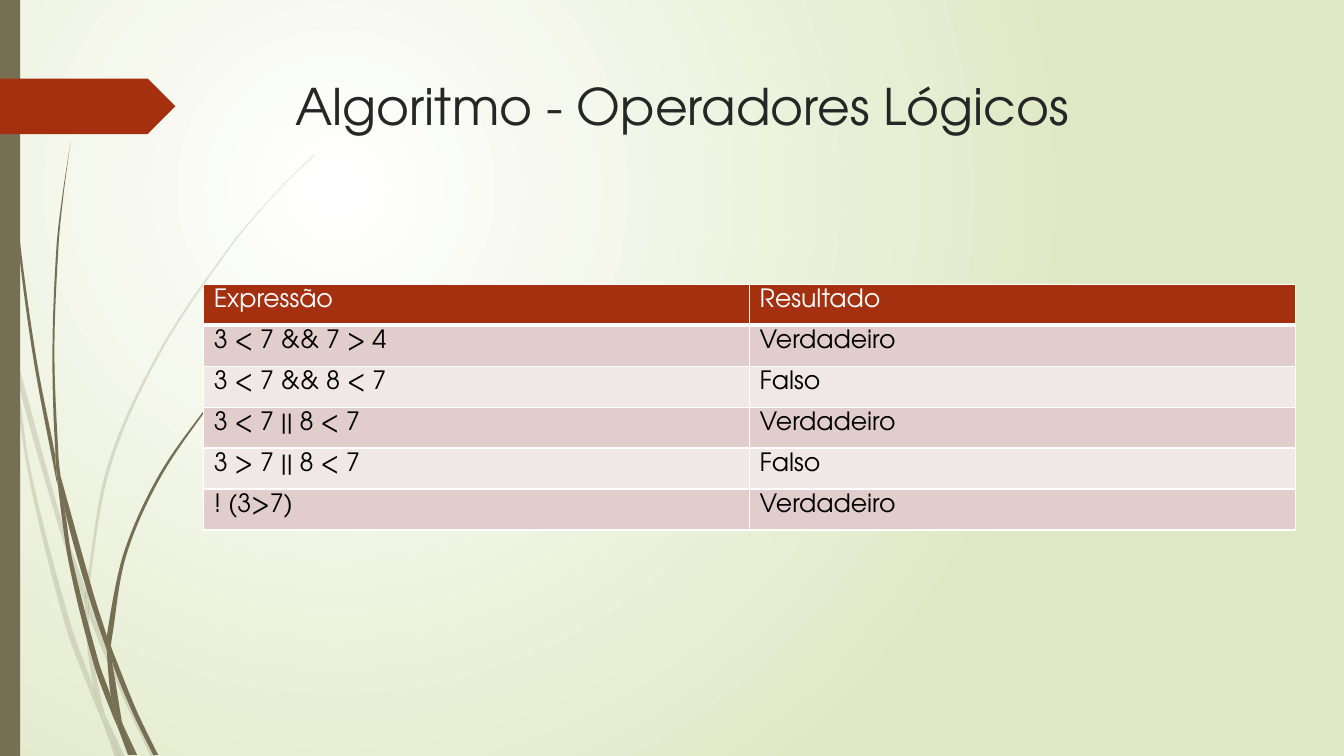
import math

import pptx
import pptx.dml.color
import pptx.enum.shapes
import pptx.enum.text
import pptx.oxml
import pptx.oxml.ns
import pptx.util

Inches = pptx.util.Inches
RGBColor = pptx.dml.color.RGBColor
Shape = pptx.enum.shapes.MSO_SHAPE
qn = pptx.oxml.ns.qn

FONT = "TeX Gyre Adventor"
WHITE = RGBColor(0xFF, 0xFF, 0xFF)
BLACK = RGBColor(0, 0, 0)
INK = RGBColor(0x26, 0x26, 0x26)
RUST = RGBColor(0xA5, 0x30, 0x10)
OLIVE = RGBColor(0x76, 0x6F, 0x54)
SAGE = RGBColor(0xDF, 0xE8, 0xC4)
ROSE = RGBColor(0xE1, 0xCD, 0xCC)
BLUSH = RGBColor(0xF0, 0xE8, 0xE7)

# Each blade of grass is a closed ring of (x, y) points, in inches.
PALE_BLADES = [
    [(0.11, 3.5), (0.09, 3.22), (0, 2.82), (0, 2.99), (0.1, 3.44)],
    [(0.58, 5.22), (0.84, 5.99), (0.85, 5.86), (0.62, 5.2), (0.14, 3.45),
     (0.17, 3.76)],
    [(0.92, 6.07), (0.88, 5.96), (0.88, 6.1), (1.23, 6.94), (1.5, 7.51),
     (1.55, 7.51), (1.27, 6.92)],
    [(1.19, 7.51), (1.24, 7.51), (1.05, 7.11)],
    [(0.93, 6.83), (0.7, 6.19), (0.31, 4.69), (0.17, 3.76), (0.11, 3.5),
     (0.28, 4.7), (0.65, 6.21), (0.92, 6.93), (1.01, 7.14), (0.99, 7.07)],
    [(0.84, 5.99), (0.87, 6.46), (0.93, 6.83), (0.96, 6.92), (1.05, 7.11),
     (1.03, 7.06), (0.91, 6.46), (0.88, 6.1), (0.88, 6.08)],
    [(0.88, 5.84), (1.1, 4.62), (1.6, 3.49), (2.29, 2.45), (2.68, 1.98),
     (2.9, 1.75), (3.12, 1.54), (3.12, 1.53), (2.89, 1.75), (2.68, 1.97),
     (2.28, 2.44), (1.58, 3.48), (1.07, 4.61), (0.85, 5.84), (0.85, 5.86),
     (0.88, 5.96)],
    [(1.01, 7.14), (1.14, 7.51), (1.19, 7.51)],
    [(0.88, 6.08), (0.88, 6.1), (0.88, 5.96), (0.85, 5.86), (0.84, 5.99)],
    [(0.96, 6.92), (0.93, 6.83), (0.99, 7.07), (1.01, 7.14), (1.19, 7.51),
     (1.05, 7.11)],
]
DARK_BLADES = [
    [(0.07, 1.1), (0.17, 2.33), (0.33, 3.55), (0.56, 4.77), (0.57, 4.81),
     (0.55, 4.57), (0.55, 4.53), (0.36, 3.55), (0.19, 2.32), (0.08, 1.09),
     (0.05, 0.48), (0.04, 0), (0.03, 0), (0.04, 0.48)],
    [(0.88, 5.92), (1.06, 6.45), (1.06, 6.33), (1.06, 6.31), (0.93, 5.9),
     (0.6, 4.72), (0.64, 5.05)],
    [(1.13, 6.49), (1.1, 6.41), (1.11, 6.56), (1.32, 7.08), (1.52, 7.49),
     (1.57, 7.49), (1.36, 7.06)],
    [(1.1, 6.91), (0.98, 6.57), (0.72, 5.56), (0.64, 5.05), (0.57, 4.77),
     (0.68, 5.57), (0.93, 6.59), (1.11, 7.08), (1.17, 7.22), (1.16, 7.17)],
    [(0.6, 4.72), (0.58, 4.53), (0.54, 3.49), (0.58, 2.45), (0.63, 1.93),
     (0.7, 1.41), (0.62, 1.93), (0.56, 2.45), (0.52, 3.49), (0.55, 4.49)],
    [(1.33, 7.49), (1.36, 7.49), (1.22, 7.19)],
    [(0.57, 4.77), (0.64, 5.05), (0.6, 4.72), (0.55, 4.49), (0.55, 4.53)],
    [(1.11, 6.33), (1.25, 5.52), (1.58, 4.76), (2.05, 4.06), (2.31, 3.74),
     (2.45, 3.59), (2.61, 3.44), (2.6, 3.44), (2.45, 3.58), (2.31, 3.73),
     (2.04, 4.05), (1.56, 4.74), (1.22, 5.51), (1.06, 6.31), (1.1, 6.41)],
    [(1.17, 7.22), (1.27, 7.49), (1.31, 7.49)],
    [(1.06, 6.45), (1.1, 6.91), (1.16, 7.06), (1.22, 7.19), (1.21, 7.16),
     (1.11, 6.56), (1.09, 6.51)],
    [(1.06, 6.45), (1.09, 6.51), (1.11, 6.56), (1.1, 6.41), (1.06, 6.31),
     (1.06, 6.33)],
    [(1.16, 7.06), (1.1, 6.91), (1.16, 7.17), (1.17, 7.22), (1.3, 7.49),
     (1.33, 7.49), (1.22, 7.19)],
]
ROWS = [
    ("Expressão", "Resultado"),
    ("3 < 7 && 7 > 4", "Verdadeiro"),
    ("3 < 7 && 8 < 7", "Falso"),
    ("3 < 7 || 8 < 7", "Verdadeiro"),
    ("3 > 7 || 8 < 7", "Falso"),
    ("! (3>7)", "Verdadeiro"),
]


def write(frame, text, size=18, color=BLACK):
    para = frame.paragraphs[0]
    para.alignment = pptx.enum.text.PP_ALIGN.LEFT
    run = para.add_run()
    run.text = text
    run.font.name = FONT
    run.font.size = pptx.util.Pt(size)
    run.font.color.rgb = color
    run.font.bold = False


def paint(shape, color, alpha=100):
    shape.shadow.inherit = False
    shape.line.fill.background()
    shape.fill.solid()
    shape.fill.fore_color.rgb = color
    if alpha < 100:
        tint = shape.element.spPr.find(".//" + qn("a:srgbClr"))
        tint.append(pptx.oxml.parse_xml(
            f'<a:alpha {pptx.oxml.ns.nsdecls("a")} val="{alpha * 1000}"/>'))


def slope(last, here, after):
    """Return the unit tangent at a ring point, or zero at a corner."""
    ax, ay = here[0] - last[0], here[1] - last[1]
    bx, by = after[0] - here[0], after[1] - here[1]
    if ax * bx + ay * by < 0.85 * math.hypot(ax, ay) * math.hypot(bx, by):
        return 0, 0
    span = math.hypot(ax + bx, ay + by)
    return (ax + bx) / span, (ay + by) / span


def add_blade(slide, left, top, ring, alpha=100):
    """Draw a ring as Bezier curves that keep its sharp corners."""
    count = len(ring)
    tilts = [slope(ring[i - 1], ring[i], ring[(i + 1) % count])
             for i in range(count)]
    points = [ring[0]]
    for i in range(count):
        j = (i + 1) % count
        (px, py), (qx, qy) = ring[i], ring[j]
        reach = math.dist(ring[i], ring[j]) / 3
        points += [(px + reach * tilts[i][0], py + reach * tilts[i][1]),
                   (qx - reach * tilts[j][0], qy - reach * tilts[j][1]),
                   (qx, qy)]
    points = [(Inches(left + x), Inches(top + y)) for x, y in points]
    build = slide.shapes.build_freeform(*points[0], scale=1.0)
    build.add_line_segments(points[1:], close=True)
    blade = build.convert_to_shape()
    lines = list(blade.element.iter(qn("a:lnTo")))
    for k in range(0, len(lines), 3):
        curve = pptx.oxml.parse_xml(
            f'<a:cubicBezTo {pptx.oxml.ns.nsdecls("a")}/>')
        lines[k].addprevious(curve)
        for line in lines[k:k + 3]:
            curve.append(line[0])
            line.getparent().remove(line)
    paint(blade, OLIVE, alpha)


def add_backdrop(slide):
    fill = slide.background.fill
    fill.gradient()
    for stop, color, place in zip(fill.gradient_stops, (WHITE, SAGE), (0, 1)):
        stop.color.rgb = color
        stop.position = place
    grad = slide.element.find(".//" + qn("a:gradFill"))
    grad.remove(grad.find(qn("a:lin")))
    grad.append(pptx.oxml.parse_xml(
        f'<a:path {pptx.oxml.ns.nsdecls("a")} path="circle"><a:fillToRect '
        'l="50000" t="50000" r="100000" b="100000"/></a:path>'))


def add_side(slide, left, top, height):
    for blades, alpha in ((PALE_BLADES, 20), (DARK_BLADES, 100)):
        for ring in blades:
            add_blade(slide, left, top, ring, alpha)
    for kind, drop, width, tall, color in (
            (Shape.RECTANGLE, 0, 0.2, height, OLIVE),
            (Shape.PENTAGON, 0.78, 1.74, 0.55, RUST)):
        paint(slide.shapes.add_shape(
            kind, Inches(left), Inches(top + drop),
            Inches(width), Inches(tall)), color)


def add_title(slide, left, top, width, height):
    title = slide.shapes.title
    title.left, title.top = Inches(left), Inches(top)
    title.width, title.height = Inches(width), Inches(height)
    title.text_frame.vertical_anchor = pptx.enum.text.MSO_ANCHOR.TOP
    write(title.text_frame, "Algoritmo - Operadores Lógicos",
          size=36, color=INK)


def add_edges(cell, base):
    """Draw white cell borders, the bottom one base points wide."""
    props = cell._tc.get_or_add_tcPr()
    for place, side in enumerate("LRTB"):
        width = pptx.util.Pt(base if side == "B" else 1)
        props.insert(place, pptx.oxml.parse_xml(
            f'<a:ln{side} {pptx.oxml.ns.nsdecls("a")} w="{width}"><a:solidFill>'
            f'<a:srgbClr val="{WHITE}"/></a:solidFill></a:ln{side}>'))


def add_grid(slide, left, top, width, height):
    table = slide.shapes.add_table(
        len(ROWS), 2, Inches(left), Inches(top),
        Inches(width), Inches(height)).table
    for r, texts in enumerate(ROWS):
        table.rows[r].height = Inches(height / len(ROWS))
        for c, text in enumerate(texts):
            cell = table.cell(r, c)
            cell.fill.solid()
            cell.fill.fore_color.rgb = (
                RUST if r == 0 else ROSE if r % 2 else BLUSH)
            add_edges(cell, base=1 if r else 3)
            write(cell.text_frame, text, color=BLACK if r else WHITE)


def main():
    deck = pptx.Presentation()
    deck.slide_width, deck.slide_height = Inches(13.33), Inches(7.5)
    slide = deck.slides.add_slide(deck.slide_layouts[5])
    add_backdrop(slide)
    add_side(slide, 0, 0, 7.5)
    add_title(slide, 2.83, 0.69, 9.75, 1.4)
    add_grid(slide, 2.02, 2.82, 10.83, 2.44)
    deck.save("out.pptx")


if __name__ == "__main__":
    main()
